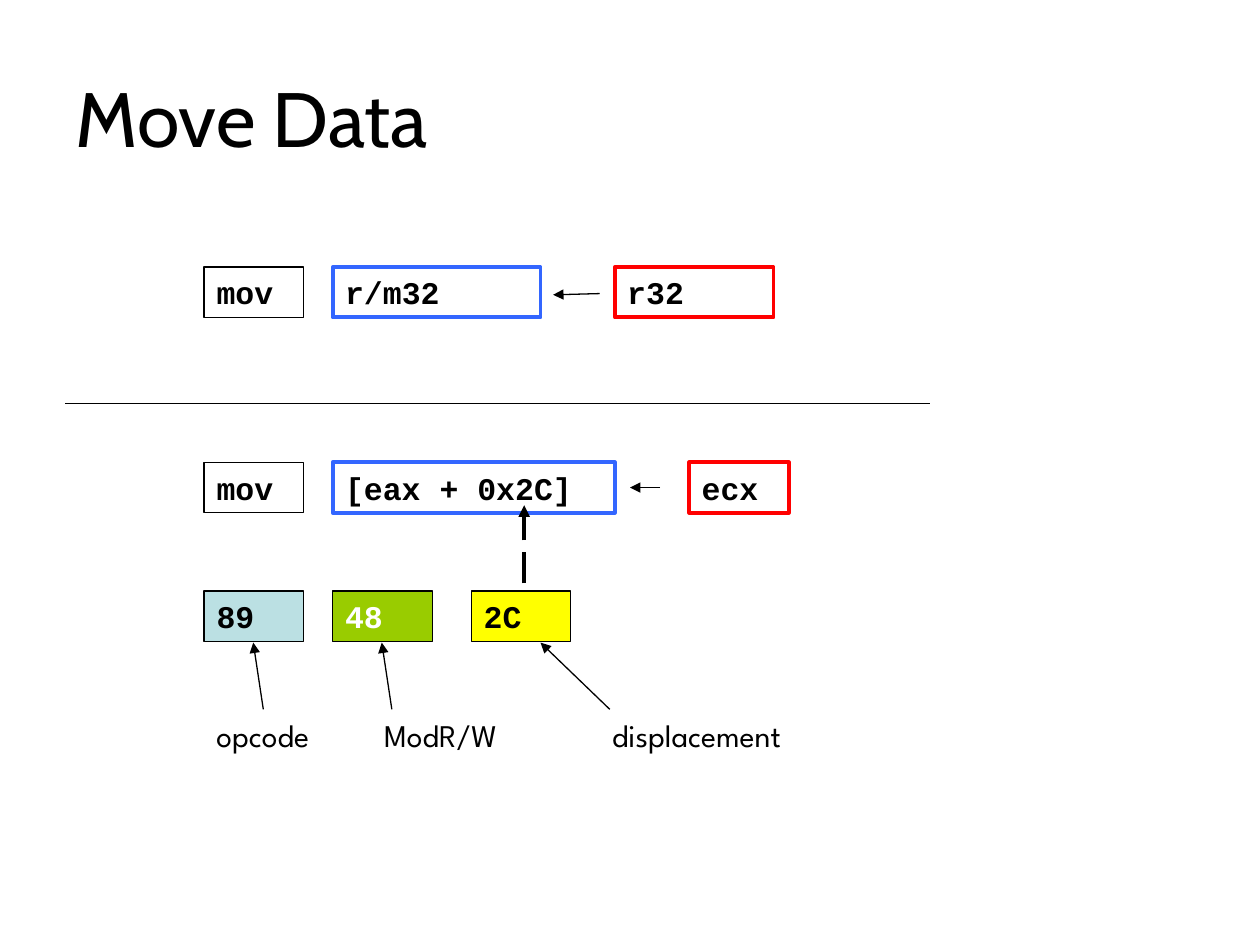
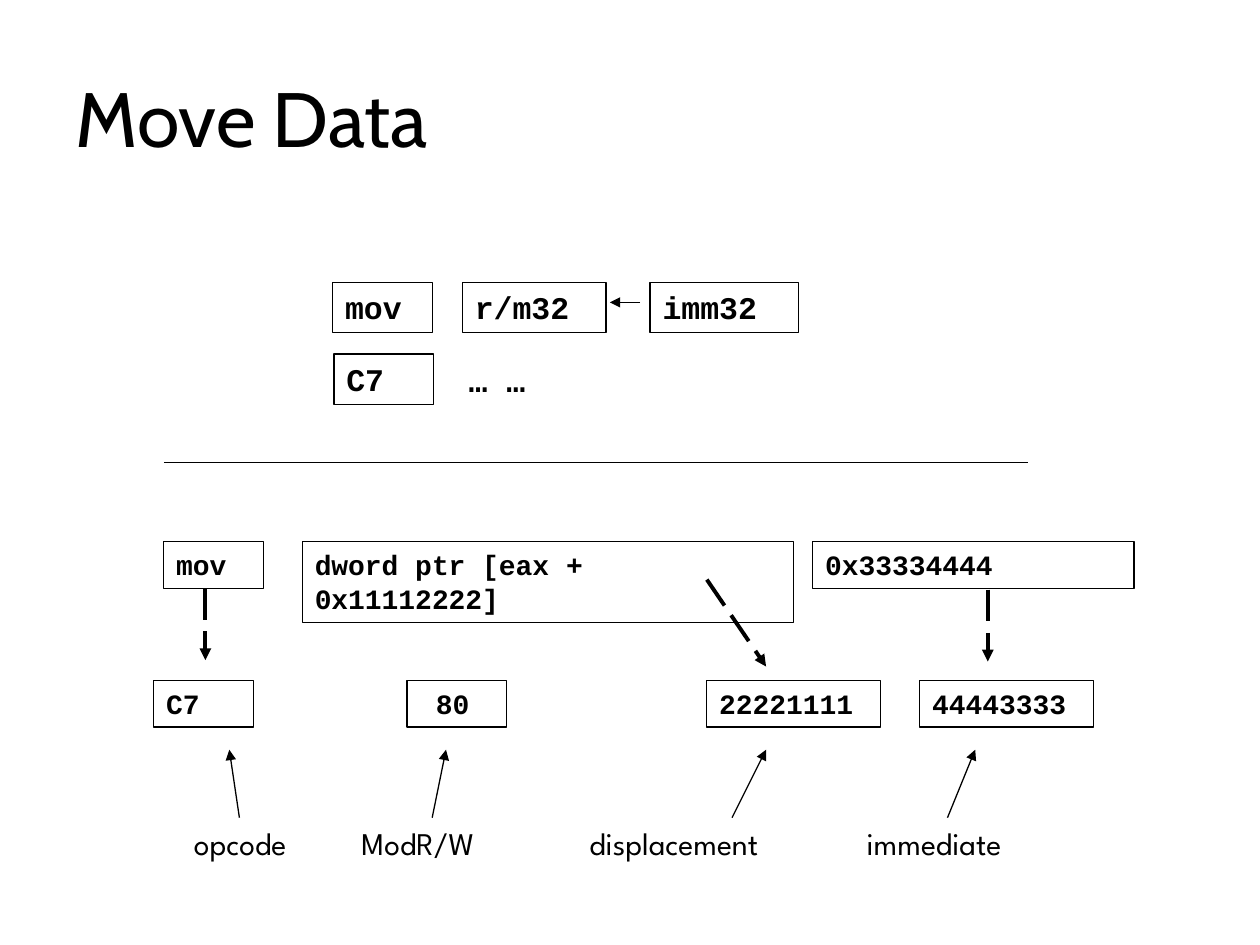
from dataclasses import dataclass

from lxml.etree import SubElement
from pptx import Presentation
from pptx.dml.color import RGBColor
from pptx.enum.dml import MSO_LINE
from pptx.enum.shapes import MSO_CONNECTOR, MSO_SHAPE
from pptx.enum.text import MSO_ANCHOR, MSO_AUTO_SIZE, PP_ALIGN
from pptx.oxml.ns import qn
from pptx.util import Pt

PX = 9144  # 100 px to the inch
RECT = MSO_SHAPE.RECTANGLE
LINE = MSO_CONNECTOR.STRAIGHT
DASH = MSO_LINE.LONG_DASH
TOP, MIDDLE = MSO_ANCHOR.TOP, MSO_ANCHOR.MIDDLE
LEFT = PP_ALIGN.LEFT
FIXED, GROW = MSO_AUTO_SIZE.NONE, MSO_AUTO_SIZE.SHAPE_TO_FIT_TEXT
TITLE_ONLY = 5


@dataclass(frozen=True)
class Theme:
    ink: str = "000000"
    white: str = "FFFFFF"
    blue: str = "3366FF"
    red: str = "FF0000"
    pale: str = "BBE0E3"
    green: str = "99CC00"
    yellow: str = "FFFF00"
    head: str = "Cabin"
    code: str = "Courier New"
    note: str = "League Spartan"
    big: int = 44
    mid: int = 18
    small: int = 16
    thin: float = 0.75
    thick: float = 2.25


T = Theme()


def emu(*sizes):
    return [size * PX for size in sizes]


def rgb(tone):
    return RGBColor.from_string(tone)


def write(shape, words, font=T.code, size=T.mid, color=T.ink, bold=False,
          anchor=TOP, fit=GROW, pad=10):
    frame = shape.text_frame
    frame.word_wrap = True
    frame.auto_size = fit
    frame.vertical_anchor = anchor
    frame.margin_left = pad * PX
    para = frame.paragraphs[0]
    para.alignment = LEFT
    run = para.add_run()
    run.text = words
    run.font.name = font
    run.font.size = Pt(size)
    run.font.bold = bold
    run.font.color.rgb = rgb(color)


def draw_line(slide, start, end, width=T.thin, dash=None, head=True):
    link = slide.shapes.add_connector(LINE, *emu(*start, *end))
    link.line.color.rgb = rgb(T.ink)
    link.line.width = Pt(width)
    if dash:
        link.line.dash_style = dash
    props = link._element.spPr
    if head:
        SubElement(props.find(qn("a:ln")), qn("a:tailEnd"), type="triangle")
    SubElement(props, qn("a:effectLst"))


def draw_trace(slide, start, end):
    """Draw a bold dashed arrow between an operand and its bytes."""
    draw_line(slide, start, end, width=T.thick, dash=DASH)


def draw_cell(slide, box, words, edge=T.ink, fill=None, **form):
    cell = slide.shapes.add_shape(RECT, *emu(*box))
    cell.shadow.inherit = False
    if fill:
        cell.fill.solid()
        cell.fill.fore_color.rgb = rgb(fill)
    else:
        cell.fill.background()
    cell.line.color.rgb = rgb(edge)
    cell.line.width = Pt(T.thin if edge == T.ink else T.thick)
    write(cell, words, bold=True, **form)


def draw_row(slide, box, cells, **form):
    """Place cells given as (offset, width, words, own format)."""
    x, y, high = box
    for shift, wide, words, own in cells:
        draw_cell(slide, (x + shift, y, wide, high), words, **form, **own)


def draw_text(slide, box, words, **form):
    write(slide.shapes.add_textbox(*emu(*box)), words, **form)


def draw_notes(slide, box, arrows):
    """Label the bytes; arrows are (tail, tip) offsets, one per label."""
    x, y, rise = box
    labels = (("opcode", 0, 134), ("ModR/W", 133, 134),
              ("displacement", 314, 260), ("immediate", 534, 160))
    for (words, shift, wide), (tail, tip) in zip(labels, arrows):
        draw_text(slide, (x + shift, y, wide, 40), words, font=T.note)
        draw_line(slide, (x + tail, y), (x + tip, y - rise))


def draw_rule(slide, x, y):
    draw_line(slide, (x, y), (x + 686, y), head=False)


def add_slide(deck):
    slide = deck.slides.add_slide(deck.slide_layouts[TITLE_ONLY])
    title = slide.shapes.title
    title.left, title.top, title.width, title.height = emu(50, 30, 850, 125)
    write(title, "Move Data", font=T.head, size=T.big, anchor=MIDDLE, fit=FIXED)
    return slide


def add_store(deck):
    """Build the slide that moves a register to memory."""
    slide = add_slide(deck)
    blue, red = {"edge": T.blue}, {"edge": T.red}
    draw_row(slide, (162, 212, 40), (
        (0, 79, "mov", {}), (102, 165, "r/m32", blue), (326, 126, "r32", red)))
    draw_line(slide, (476, 233), (439, 234))
    draw_rule(slide, 52, 320)
    draw_row(slide, (162, 367, 40), (
        (0, 79, "mov", {}), (102, 224, "[eax + 0x2C]", blue),
        (385, 79, "ecx", red)))
    draw_line(slide, (524, 387), (500, 387))
    draw_row(slide, (162, 469, 40), (
        (0, 79, "89", {"fill": T.pale}),
        (102, 79, "48", {"fill": T.green, "color": T.white}),
        (212, 79, "2C", {"fill": T.yellow})))
    draw_notes(slide, (162, 563, 53), ((47, 39), (149, 141), (322, 267)))
    draw_trace(slide, (416, 463), (416, 401))


def add_load(deck):
    """Build the slide that moves an immediate to memory."""
    slide = add_slide(deck)
    draw_row(slide, (264, 224, 40), (
        (0, 79, "mov", {}), (103, 114, "r/m32", {}), (252, 118, "imm32", {})))
    draw_line(slide, (508, 240), (484, 240))
    draw_row(slide, (265, 281, 40), ((0, 79, "C7", {}),))
    draw_text(slide, (362, 282, 91, 40), "… …", bold=True)
    draw_rule(slide, 130, 367)
    draw_row(slide, (130, 430, 37), (
        (0, 79, "mov", {}), (515, 255, "0x33334444", {})), size=T.small)
    draw_row(slide, (240, 430, 64), (
        (0, 390, "dword ptr [eax + 0x11112222]", {}),), size=T.small)
    draw_row(slide, (122, 540, 37), (
        (0, 79, "C7", {}), (201, 79, "80", {"pad": 23}),
        (439, 138, "22221111", {}), (608, 138, "44443333", {})), size=T.small)
    draw_trace(slide, (163, 467), (163, 524))
    draw_trace(slide, (561, 460), (608, 529))
    draw_trace(slide, (784, 468), (784, 525))
    draw_notes(slide, (144, 649, 54),
               ((46, 38), (199, 210), (437, 464), (608, 630)))


def main():
    deck = Presentation()
    deck.slide_width, deck.slide_height = emu(1000, 750)
    add_store(deck)
    add_load(deck)
    deck.save("out.pptx")


if __name__ == "__main__":
    main()
